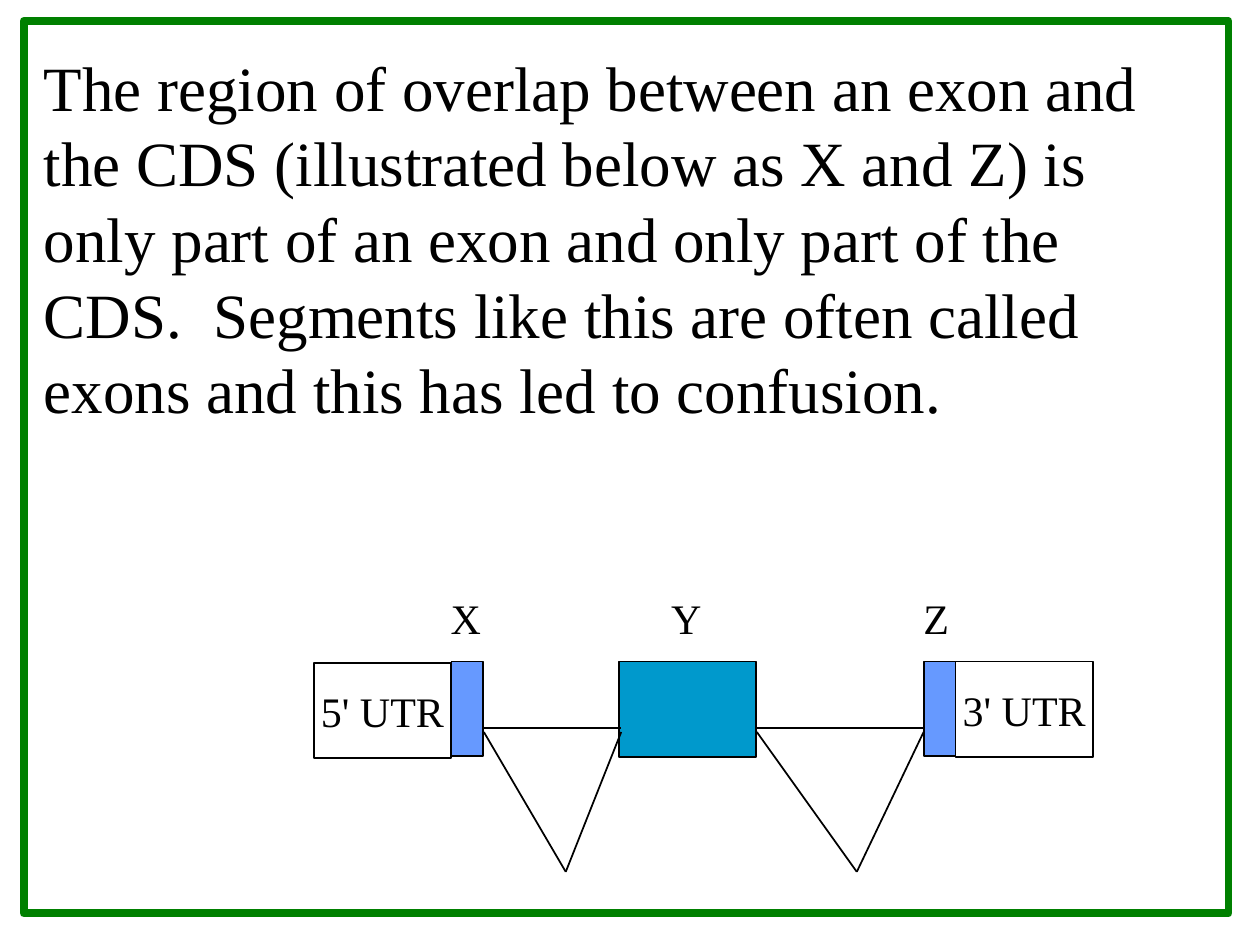
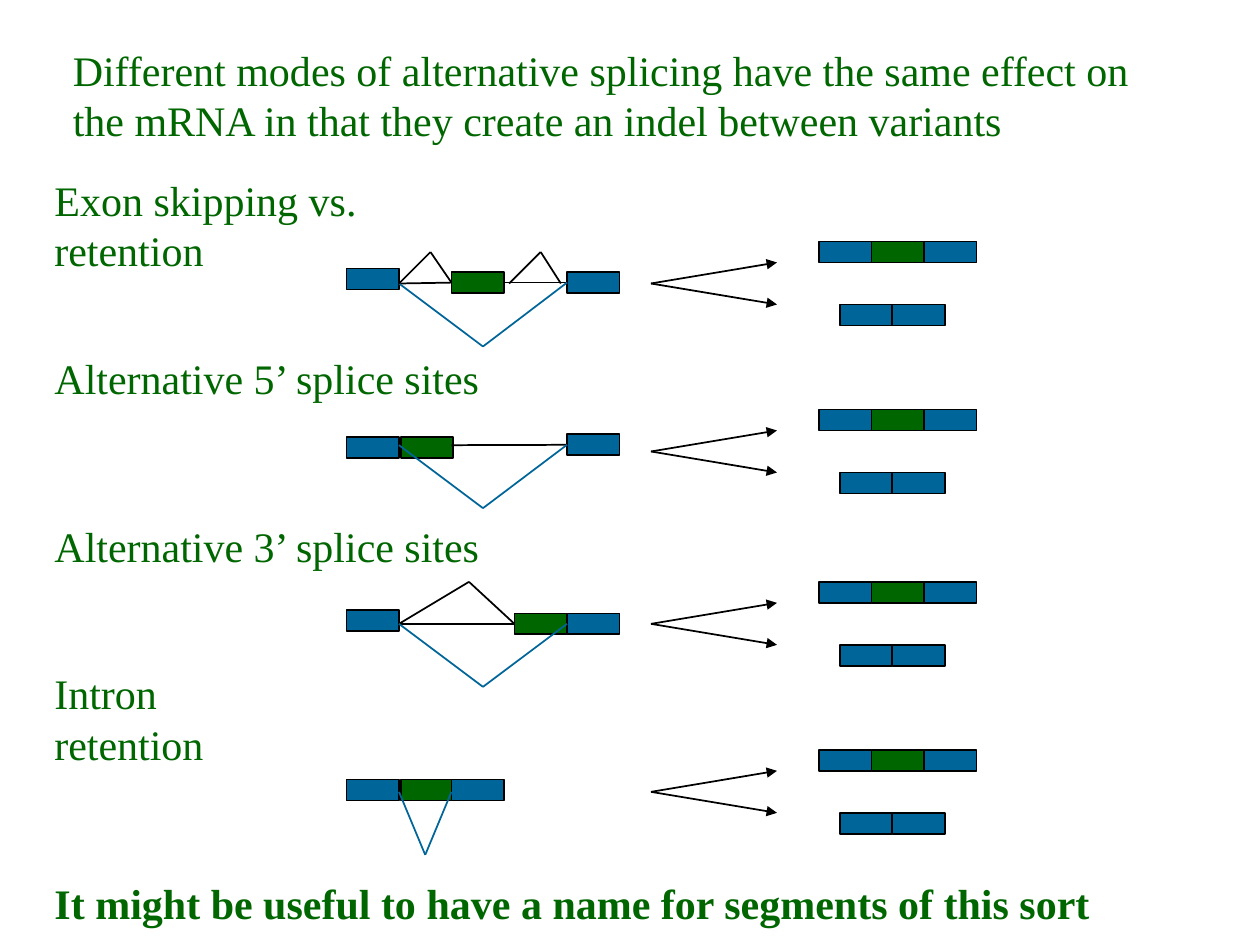
from itertools import pairwise
from lxml.etree import SubElement
from pptx import Presentation
from pptx.dml.color import RGBColor
from pptx.enum.shapes import MSO_CONNECTOR, MSO_SHAPE
from pptx.enum.text import MSO_ANCHOR, MSO_AUTO_SIZE, PP_ALIGN
from pptx.oxml.ns import qn
from pptx.util import Pt

BLACK = RGBColor(0x00, 0x00, 0x00)
WHITE = RGBColor(0xFF, 0xFF, 0xFF)
FRAME = RGBColor(0x00, 0x80, 0x00)
GREEN = RGBColor(0x00, 0x66, 0x00)
BLUE = RGBColor(0x00, 0x66, 0x99)
TEAL = RGBColor(0x00, 0x99, 0xCC)
SKY = RGBColor(0x66, 0x99, 0xFF)
FONT = "Times New Roman"


def box(slide, x, y, w, h, fill=None, edge=BLACK, weight=1, text="",
        size=24, color=BLACK, bold=False, wrap=False):
    """Add a rectangle, or a plain text box when edge is None."""
    area = Pt(x), Pt(y), Pt(w), Pt(h)
    if edge is None:
        shape = slide.shapes.add_textbox(*area)
        shape.text_frame.auto_size = MSO_AUTO_SIZE.SHAPE_TO_FIT_TEXT
    else:
        shape = slide.shapes.add_shape(MSO_SHAPE.RECTANGLE, *area)
        shape.shadow.inherit = False
        shape.line.color.rgb = edge
        shape.line.width = Pt(weight)
        if fill is None:
            shape.fill.background()
        else:
            shape.fill.solid()
            shape.fill.fore_color.rgb = fill
    if text:
        frame = shape.text_frame
        frame.word_wrap = wrap
        para = frame.paragraphs[0]
        para.text = text
        para.font.name = FONT
        para.font.size = Pt(size)
        para.font.bold = bold
        para.font.color.rgb = color
        if edge is not None:
            frame.vertical_anchor = MSO_ANCHOR.MIDDLE
            para.alignment = PP_ALIGN.CENTER
    return shape


def line(slide, start, end, color=BLACK, arrow=False, boxes=()):
    """Add a straight line, joined to any box whose side middle it meets."""
    link = slide.shapes.add_connector(
        MSO_CONNECTOR.STRAIGHT, *(Pt(v) for v in (*start, *end)))
    link.line.color.rgb = color
    link.line.width = Pt(1)
    if arrow:
        SubElement(link.line._get_or_add_ln(), qn("a:tailEnd"), type="triangle")
    SubElement(link._element.spPr, qn("a:effectLst"))
    for (x, y), join in ((start, link.begin_connect), (end, link.end_connect)):
        for part in boxes:
            mid = part.top + part.height / 2
            for site, side in ((1, part.left), (3, part.left + part.width)):
                if abs(side - Pt(x)) < Pt(1) and abs(mid - Pt(y)) < Pt(1):
                    join(part, site)


deck = Presentation()
deck.slide_width, deck.slide_height = Pt(720), Pt(540)
blank = deck.slide_layouts[6]

# Slide 1: gene with exons and coding segments
gene = deck.slides.add_slide(blank)
box(gene, 179.3, 378.8, 78.5, 54.5, WHITE, text="5' UTR")
box(gene, 353.5, 378, 78.5, 54.5, TEAL)
for left, tip, right in ((276.5, 323.3, 355), (432.5, 489.6, 527.8)):
    line(gene, (left, 416), (right, 416))
    for x in (left, right):
        line(gene, (x, 418.3), (tip, 498.2))
for x in (258, 528):
    box(gene, x, 378, 18, 54, SKY, weight=0.75)
box(gene, 546, 378, 78.5, 54.5, WHITE, text="3' UTR")
box(gene, 18, 24, 654, 223, edge=None, size=36, wrap=True,
    text="The region of overlap between an exon and the CDS (illustrated "
         "below as X and Z) is only part of an exon and only part of the CDS.  "
         "Segments like this are often called exons and this has led to "
         "confusion.")
for name, x, w in (("X", 250.5, 31.8), ("Y", 376.5, 31.8), ("Z", 520.5, 29)):
    box(gene, x, 335, w, 36, edge=None, text=name)
box(gene, 13.5, 12, 688.5, 510, edge=FRAME, weight=4.5)

# Slide 2: four modes of splicing; heights are relative to each row's base
modes = deck.slides.add_slide(blank)
box(modes, 34.5, 21.6, 649.5, 65, edge=None, color=GREEN, wrap=True,
    text="Different modes of alternative splicing have the same effect on "
         "the mRNA in that they create an indel between variants")
rows = [
    ("Exon skipping vs. retention", 96, 278, 162,
     [(198, -8.6, BLUE), (258, -6.5, GREEN), (324, -6.5, BLUE)],
     [(BLACK, (288, 0), (324, 0)),
      (BLACK, (228, 0), (258, 0)),
      (BLUE, (228, 0), (276, 36), (324, 0)),
      (BLACK, (228, 0), (246, -18), (258, 0)),
      (BLACK, (291, 0), (309, -18), (320.5, 0))]),
    ("Alternative 5’ splice sites", 198, 258.5, 258,
     [(198, -8.3, BLUE), (229, -8.3, GREEN), (324, -9.8, BLUE)],
     [(BLACK, (258, -3.6), (324, -3.6)),
      (BLUE, (228, -3.6), (276, 32.4), (324, -3.6))]),
    ("Alternative 3’ splice sites", 294, 258.5, 356.5,
     [(198, -8, BLUE), (294, -6, GREEN), (324, -6, BLUE)],
     [(BLACK, (228, 0), (294, 0)),
      (BLACK, (228, 0), (268, -24), (294, 0)),
      (BLUE, (228, 0), (276, 36), (324, 0))]),
    ("Intron retention", 378, 164, 452.5,
     [(198, -7, BLUE), (229, -7, GREEN), (258, -7, BLUE)],
     [(BLUE, (228, 0), (243, 36), (258, 0))]),
]
for name, top, width, base, exons, trails in rows:
    box(modes, 24, top, width, 36, edge=None, text=name, color=GREEN)
    parts = [box(modes, x, base + y, 30, 12, fill) for x, y, fill in exons]
    for color, *trail in trails:
        for (x1, y1), (x2, y2) in pairwise(trail):
            line(modes, (x1, base + y1), (x2, base + y2), color, boxes=parts)
    for left, drop, fills in ((480, 12, (BLUE, BLUE)),
                              (468, -24, (BLUE, GREEN, BLUE))):
        for i, fill in enumerate(fills):
            box(modes, left + 30 * i, base + drop, 30, 12, fill)
    for drop in (-12, 12):
        line(modes, (372, base), (444, base + drop), arrow=True)
box(modes, 24, 498, 649.5, 36, edge=None, color=GREEN, bold=True, wrap=True,
    text="It might be useful to have a name for segments of this sort")

deck.save("out.pptx")
